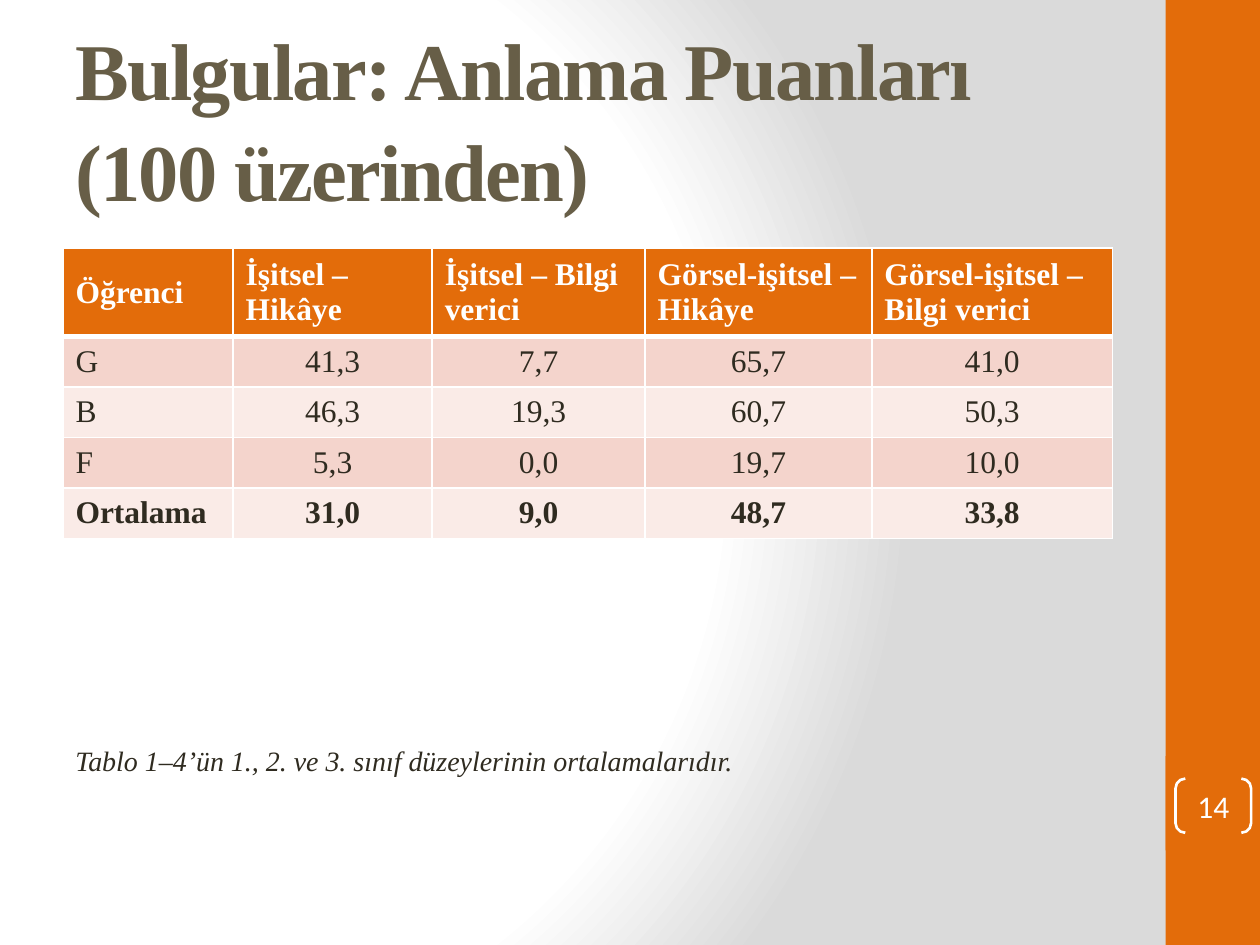
"""Build the slide of mean comprehension scores."""
from lxml import etree
from pptx import Presentation
from pptx import util as u
from pptx.dml.color import RGBColor
from pptx.enum import shapes, text
from pptx.oxml import parse_xml
from pptx.oxml.ns import qn

ORANGE, WHITE, DARK, BROWN = "E36C0A", "FFFFFF", "2F2B20", "675E47"
BANDS = ["F4D4CC", "FAEBE7"]
TITLE = "Bulgular: Anlama Puanları (100 üzerinden)"
NOTE = "Tablo 1–4’ün 1., 2. ve 3. sınıf düzeylerinin ortalamalarıdır."
WIDTHS = [1.35, 1.58, 1.69, 1.8, 1.91]
ROWS = [
    ["Öğrenci", "İşitsel – Hikâye", "İşitsel – Bilgi verici",
     "Görsel-işitsel – Hikâye", "Görsel-işitsel – Bilgi verici"],
    ["G", "41,3", "7,7", "65,7", "41,0"],
    ["B", "46,3", "19,3", "60,7", "50,3"],
    ["F", "5,3", "0,0", "19,7", "10,0"],
    ["Ortalama", "31,0", "9,0", "48,7", "33,8"],
]
STOPS = [(0, WHITE), (75, WHITE), (100, "DADADA")]
BARS = [(9.25, 0, 0.75, 7.5), (9.25, 6, 0.75, 0.75)]
LEFT, WIDE, HIGH = 0.5, 8.33, 0.38
NS = "http://schemas.openxmlformats.org/drawingml/2006/main"


def rgb(code):
    """Turn a hex string into a colour."""
    return RGBColor.from_string(code)


def write(frame, words, size=18, color=DARK, font="Times New Roman",
          bold=False, italic=False, center=False, space=None, track=None):
    """Put one formatted paragraph into a text frame."""
    frame.word_wrap = True
    para = frame.paragraphs[0]
    para.alignment = text.PP_ALIGN.CENTER if center else text.PP_ALIGN.LEFT
    para.line_spacing = space
    run = para.add_run()
    run.text = words
    run.font.size, run.font.name = u.Pt(size), font
    run.font.bold, run.font.italic = bold, italic
    run.font.color.rgb = rgb(color)
    if track:
        run.font._element.set("spc", str(track * 100))


def shade(slide):
    """Fill the background with a radial gradient."""
    slide.background.fill.solid()
    stops = "".join(
        f'<a:gs pos="{pos * 1000}"><a:srgbClr val="{code}"/></a:gs>'
        for pos, code in STOPS)
    grad = parse_xml(
        f'<a:gradFill xmlns:a="{NS}" rotWithShape="1"><a:gsLst>{stops}</a:gsLst>'
        '<a:path path="circle"><a:fillToRect l="20000" t="50000" r="100000" '
        'b="50000"/></a:path></a:gradFill>')
    old = slide.element.find(".//" + qn("a:solidFill"))
    old.getparent().replace(old, grad)


def edge(cell, row):
    """Draw white borders, thick below the header."""
    props = cell._tc.get_or_add_tcPr()
    thick = {"T": row == 1, "B": row == 0}
    for side in "LRTB":
        line = etree.SubElement(props, qn("a:ln" + side))
        line.set("w", str(u.Pt(3 if thick.get(side) else 1)))
        fill = etree.SubElement(line, qn("a:solidFill"))
        etree.SubElement(fill, qn("a:srgbClr")).set("val", WHITE)


def shape(slide, kind, box):
    """Add a preset shape without a shadow."""
    item = slide.shapes.add_shape(kind, *map(u.Inches, box))
    item.shadow.inherit = False
    return item


def label(slide, box):
    """Add a text box and return its frame."""
    return slide.shapes.add_textbox(*map(u.Inches, box)).text_frame


def scores(slide):
    """Add the table of scores."""
    box = LEFT, 1.97, WIDE, HIGH * len(ROWS)
    grid = slide.shapes.add_table(
        len(ROWS), len(WIDTHS), *map(u.Inches, box)).table
    for col, width in zip(grid.columns, WIDTHS):
        col.width = u.Inches(width)
    for r, row in enumerate(ROWS):
        grid.rows[r].height = u.Inches(HIGH)
        for c, words in enumerate(row):
            cell = grid.cell(r, c)
            cell.vertical_anchor = text.MSO_ANCHOR.MIDDLE
            edge(cell, r)
            cell.fill.solid()
            cell.fill.fore_color.rgb = rgb(BANDS[(r - 1) % 2] if r else ORANGE)
            write(cell.text_frame, words, color=DARK if r else WHITE,
                  bold=r in (0, len(ROWS) - 1), center=r > 0 and c > 0)


def main():
    """Compose and save the slide."""
    deck = Presentation()
    deck.slide_width, deck.slide_height = u.Inches(10), u.Inches(7.5)
    slide = deck.slides.add_slide(deck.slide_layouts[6])
    shade(slide)
    for box in BARS:
        bar = shape(slide, shapes.MSO_SHAPE.RECTANGLE, box)
        bar.fill.solid()
        bar.fill.fore_color.rgb = rgb(ORANGE)
        bar.line.fill.background()
    head = label(slide, (LEFT, 0.3, WIDE, 1.25))
    head.vertical_anchor = text.MSO_ANCHOR.MIDDLE
    write(head, TITLE, size=46, color=BROWN, bold=True, space=1.05, track=-1)
    scores(slide)
    write(label(slide, (LEFT, 5.85, WIDE, 0.98)), NOTE, size=16, italic=True)
    mark = shape(slide, shapes.MSO_SHAPE.DOUBLE_BRACKET, (9.33, 6.18, 0.6, 0.43))
    mark.adjustments[0] = 0.18
    mark.fill.background()
    mark.line.color.rgb = rgb(WHITE)
    mark.line.width = u.Pt(1.5)
    frame = mark.text_frame
    frame.margin_left = frame.margin_right = 0
    frame.margin_top = frame.margin_bottom = 0
    frame.vertical_anchor = text.MSO_ANCHOR.MIDDLE
    write(frame, "14", color=WHITE, font="Calibri", center=True)
    deck.save("out.pptx")


if __name__ == "__main__":
    main()
